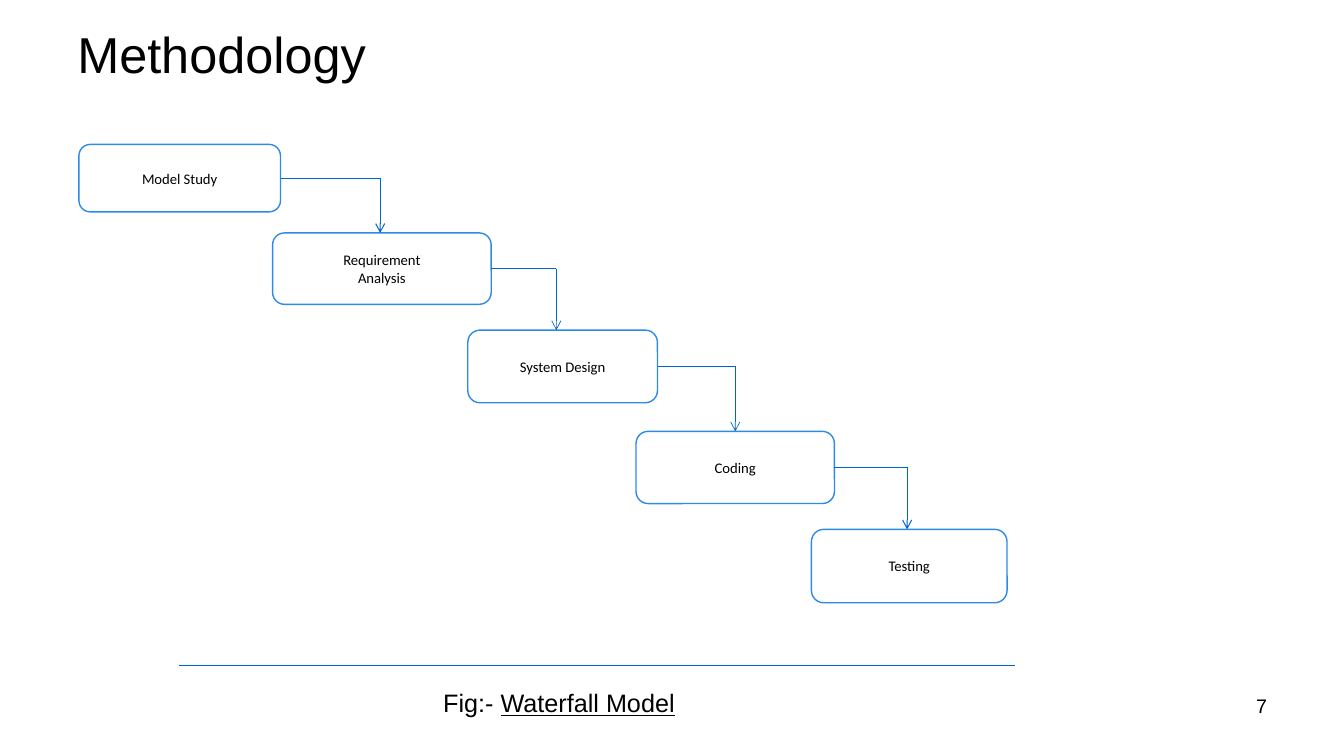
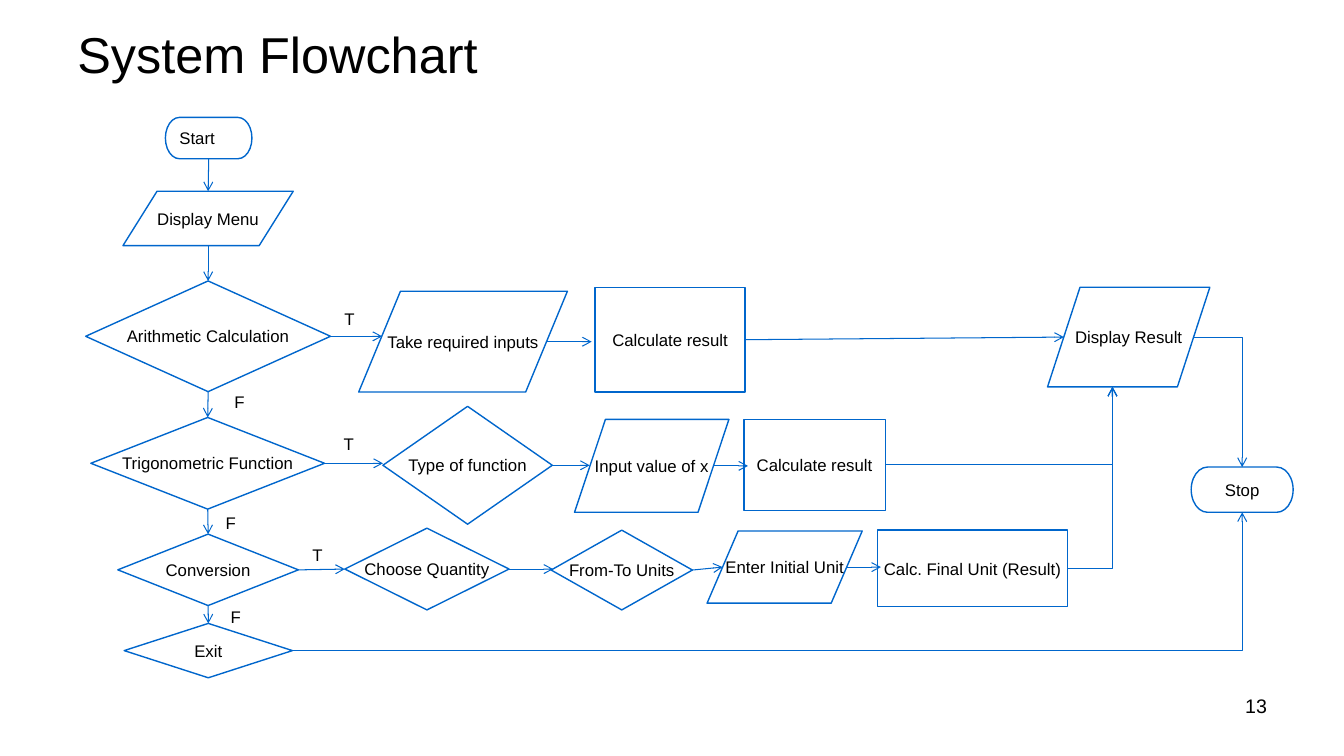
"""Build the Methodology and System Flowchart slides."""
from lxml import etree
from pptx import Presentation, util as u
from pptx.dml.color import RGBColor
from pptx.enum import shapes as s, text as t
from pptx.oxml import ns

BLACK = RGBColor(0x00, 0x00, 0x00)
WHITE = RGBColor(0xFF, 0xFF, 0xFF)
BLUE = RGBColor(0x00, 0x66, 0xCC)
LIGHT_BLUE = RGBColor(0x2D, 0x8A, 0xE7)

LEFT, CENTER, RIGHT = t.PP_ALIGN.LEFT, t.PP_ALIGN.CENTER, t.PP_ALIGN.RIGHT
TOP, MIDDLE = t.MSO_ANCHOR.TOP, t.MSO_ANCHOR.MIDDLE

TITLE_BOX = (1.7, 0.53, 30.48, 1.63)
NUMBER_BOX = (24.28, 17.35, 7.9, 1.32)
TITLE_FONT = {"name": "Arial", "size": u.Pt(36)}
CAPTION_FONT = {"name": "Arial", "size": u.Pt(18)}
NUMBER_FONT = {"name": "Arial", "size": u.Pt(14)}
NODE_FONT = {"name": "Arial", "size": u.Pt(12)}
STEP_FONT = {"name": "Calibri", "size": u.Pt(10.5)}

TERMINATOR = s.MSO_SHAPE.FLOWCHART_TERMINATOR
DATA = s.MSO_SHAPE.FLOWCHART_DATA
DECISION = s.MSO_SHAPE.FLOWCHART_DECISION
PROCESS = s.MSO_SHAPE.FLOWCHART_PROCESS

PORTS = {
    "top": (0, 0.5, 0), "left": (1, 0, 0.5),
    "bottom": (2, 0.5, 1), "right": (3, 1, 0.5),
}
DATA_PORTS = {
    "top": (1, 0.5, 0), "left": (2, 0.1, 0.5), "foot": (3, 0.4, 1),
    "bottom": (4, 0.5, 1), "right": (5, 0.9, 0.5),
}

STEPS = [
    ("Model Study", (1.99, 3.64, 5.08, 1.7)),
    ("Requirement\nAnalysis", (6.87, 5.87, 5.51, 1.8)),
    ("System Design", (11.79, 8.32, 4.78, 1.83)),
    ("Coding", (16.03, 10.87, 5, 1.82)),
    ("Testing", (20.45, 13.34, 4.93, 1.85)),
]
STEP_TURNS = [(9.58, 0.75), (14.02, 0.5), (18.53, 0.5), (22.86, 0.75)]

NODES = {
    "start": (TERMINATOR, "Start", (4.17, 2.96, 2.18, 1.04)),
    "menu": (DATA, "Display Menu", (3.1, 4.82, 4.29, 1.37)),
    "arithmetic": (DECISION, "Arithmetic Calculation", (2.16, 7.08, 6.17, 2.79)),
    "inputs": (DATA, "Take required inputs", (9.04, 7.34, 5.26, 2.54)),
    "arithmetic result": (PROCESS, "Calculate result", (15, 7.24, 3.78, 2.64)),
    "display": (DATA, "Display Result", (26.4, 7.24, 4.09, 2.51)),
    "trigonometric": (DECISION, "Trigonometric Function", (2.29, 10.52, 5.89, 2.31)),
    "function type": (DECISION, "Type of function", (9.65, 10.24, 4.27, 2.97)),
    "value of x": (DATA, "Input value of x", (14.48, 10.57, 3.89, 2.34)),
    "function result": (PROCESS, "Calculate result", (18.75, 10.57, 3.56, 2.29)),
    "conversion": (DECISION, "Conversion", (2.97, 13.46, 4.55, 1.8)),
    "quantity": (DECISION, "Choose Quantity", (8.69, 13.31, 4.14, 2.06)),
    "units": (DECISION, "From-To Units", (13.89, 13.36, 3.56, 2.01)),
    "initial unit": (DATA, "Enter Initial Unit", (17.82, 13.38, 3.91, 1.82)),
    "final unit": (s.MSO_SHAPE.RECTANGLE, "Calc. Final Unit (Result)",
                   (22.12, 13.36, 4.78, 1.93)),
    "exit": (DECISION, "Exit", (3.13, 15.71, 4.24, 1.37)),
    "stop": (TERMINATOR, "Stop", (30.02, 11.77, 2.57, 1.14)),
}
COLUMN = ["start", "menu", "arithmetic", "trigonometric", "conversion", "exit"]
ROWS = [
    ["arithmetic", "inputs", "arithmetic result", "display"],
    ["trigonometric", "function type", "value of x", "function result"],
    ["conversion", "quantity", "units", "initial unit", "final unit"],
]
LEVEL_ENDS = {
    "inputs": 9.63, "arithmetic result": 14.91, "function type": 9.65,
    "value of x": 14.86, "function result": 18.85, "units": 13.94,
    "final unit": 22.2,
}
ELBOWS = [
    ("function result", "right", "display", "foot"),
    ("final unit", "right", "display", "foot"),
    ("display", "right", "stop", "top"),
    ("exit", "right", "stop", "bottom"),
]
BRANCH_LABELS = [
    ("T", (8.43, 7.65, 0.71, 0.76)), ("F", (5.66, 9.75, 1.14, 0.94)),
    ("T", (8.41, 10.8, 0.69, 0.76)), ("F", (5.44, 12.8, 0.79, 0.76)),
    ("T", (7.62, 13.59, 0.64, 0.76)), ("F", (5.56, 15.16, 0.66, 0.76)),
]


def apply_format(target, values):
    """Set each named attribute on the target."""
    for name, value in values.items():
        setattr(target, name, value)


def cm(values):
    """Turn numbers into centimetre lengths."""
    return [u.Cm(value) for value in values]


def write_text(shape, content, font, align, anchor, wrap=True):
    """Write formatted paragraphs into a shape."""
    frame = shape.text_frame
    frame.text = content
    apply_format(frame, {"word_wrap": wrap, "vertical_anchor": anchor})
    for paragraph in frame.paragraphs:
        paragraph.alignment = align
        for run in paragraph.runs:
            apply_format(run.font, font)
            run.font.color.rgb = BLACK


def add_text(slide, content, box, font, align=LEFT, anchor=TOP):
    """Add a text box and return it."""
    shape = slide.shapes.add_textbox(*cm(box))
    write_text(shape, content, font, align, anchor)
    return shape


def add_node(slide, kind, content, box, font, color, fill=None, align=CENTER, wrap=False):
    """Add an outlined diagram shape with text."""
    shape = slide.shapes.add_shape(kind, *cm(box))
    shape.shadow.inherit = False
    if fill is None:
        shape.fill.background()
    else:
        shape.fill.solid()
        shape.fill.fore_color.rgb = fill
    shape.line.color.rgb = color
    shape.line.width = u.Pt(1)
    write_text(shape, content, font, align, MIDDLE, wrap)
    return shape


def add_line(slide, begin, end, width=0.75, arrow=False, elbow=False):
    """Add a straight or one-bend line between two points."""
    kind = s.MSO_CONNECTOR.ELBOW if elbow else s.MSO_CONNECTOR.STRAIGHT
    connector = slide.shapes.add_connector(kind, *begin, *end)
    connector.line.color.rgb = BLUE
    connector.line.width = u.Pt(width)
    properties = connector._element.spPr
    if elbow:
        properties.find(ns.qn("a:prstGeom")).set("prst", "bentConnector2")
    if arrow:
        etree.SubElement(properties.find(ns.qn("a:ln")), ns.qn("a:tailEnd"), type="arrow")
    etree.SubElement(properties, ns.qn("a:effectLst"))
    return connector


def find_port(shape, side):
    """Return the site index and the point of a shape's side."""
    ports = DATA_PORTS if shape.auto_shape_type == DATA else PORTS
    site, across, down = ports[side]
    point = (int(shape.left + shape.width * across), int(shape.top + shape.height * down))
    return site, point


def connect(slide, source, source_side, target, target_side, elbow=False, level_end=None):
    """Join two shapes with an arrow, or stop level at a given x."""
    begin_site, begin = find_port(source, source_side)
    end_site, end = find_port(target, target_side)
    if level_end is not None:
        end = (u.Cm(level_end), begin[1])
    connector = add_line(slide, begin, end, arrow=True, elbow=elbow)
    joints = [(connector.begin_connect, "a:stCxn", source, begin_site)]
    if level_end is None:
        joints.append((connector.end_connect, "a:endCxn", target, end_site))
    holder = connector._element.nvCxnSpPr.cNvCxnSpPr
    for join, tag, shape, site in joints:
        if shape.auto_shape_type == DATA:
            etree.SubElement(holder, ns.qn(tag), id=str(shape.shape_id), idx=str(site))
        else:
            join(shape, site)


def step_down(slide, source, target, turn, width):
    """Lead from one step across and down to the next."""
    site, begin = find_port(source, "right")
    top_site, top = find_port(target, "top")
    corner = (u.Cm(turn), begin[1])
    across = add_line(slide, begin, corner, width)
    across.begin_connect(source, site)
    down = add_line(slide, corner, (corner[0], top[1]), width, True)
    if abs(top[0] - corner[0]) < u.Cm(0.02):
        down.end_connect(target, top_site)


def add_slide(presentation, title, number):
    """Add a blank slide with its title and number."""
    slide = presentation.slides.add_slide(presentation.slide_layouts[6])
    add_text(slide, title, TITLE_BOX, TITLE_FONT, anchor=MIDDLE)
    add_text(slide, number, NUMBER_BOX, NUMBER_FONT, RIGHT)
    return slide


def build_methodology(presentation):
    """Build the waterfall model slide."""
    slide = add_slide(presentation, "Methodology", "7")
    steps = [
        add_node(slide, s.MSO_SHAPE.ROUNDED_RECTANGLE, content, box, STEP_FONT,
                 LIGHT_BLUE, fill=WHITE, wrap=True)
        for content, box in STEPS
    ]
    for source, target, (turn, width) in zip(steps, steps[1:], STEP_TURNS):
        step_down(slide, source, target, turn, width)
    add_line(slide, cm((4.52, 16.76)), cm((25.58, 16.76)), 0.5)
    caption = add_text(slide, "Fig:- ", (10.92, 17.2, 11, 1.02), CAPTION_FONT)
    run = caption.text_frame.paragraphs[0].add_run()
    run.text = "Waterfall Model"
    apply_format(run.font, {**CAPTION_FONT, "underline": True})
    run.font.color.rgb = BLACK


def build_flowchart(presentation):
    """Build the system flowchart slide."""
    slide = add_slide(presentation, "System Flowchart", "13")
    nodes = {}
    for name, (kind, content, box) in NODES.items():
        is_start = name == "start"
        nodes[name] = add_node(slide, kind, content, box, NODE_FONT, BLUE,
                               align=LEFT if is_start else CENTER, wrap=is_start)
    for source, target in zip(COLUMN, COLUMN[1:]):
        connect(slide, nodes[source], "bottom", nodes[target], "top")
    for row in ROWS:
        for source, target in zip(row, row[1:]):
            connect(slide, nodes[source], "right", nodes[target], "left",
                    level_end=LEVEL_ENDS.get(target))
    for source, source_side, target, target_side in ELBOWS:
        connect(slide, nodes[source], source_side, nodes[target], target_side, elbow=True)
    _, foot = find_port(nodes["display"], "foot")
    add_line(slide, (foot[0], u.Cm(13.49)), foot, arrow=True)
    for content, box in BRANCH_LABELS:
        add_text(slide, content, box, NODE_FONT)


def main():
    """Create and save the presentation."""
    presentation = Presentation()
    apply_format(presentation, {"slide_width": u.Cm(33.87), "slide_height": u.Cm(19.05)})
    build_methodology(presentation)
    build_flowchart(presentation)
    presentation.save("out.pptx")


if __name__ == "__main__":
    main()
